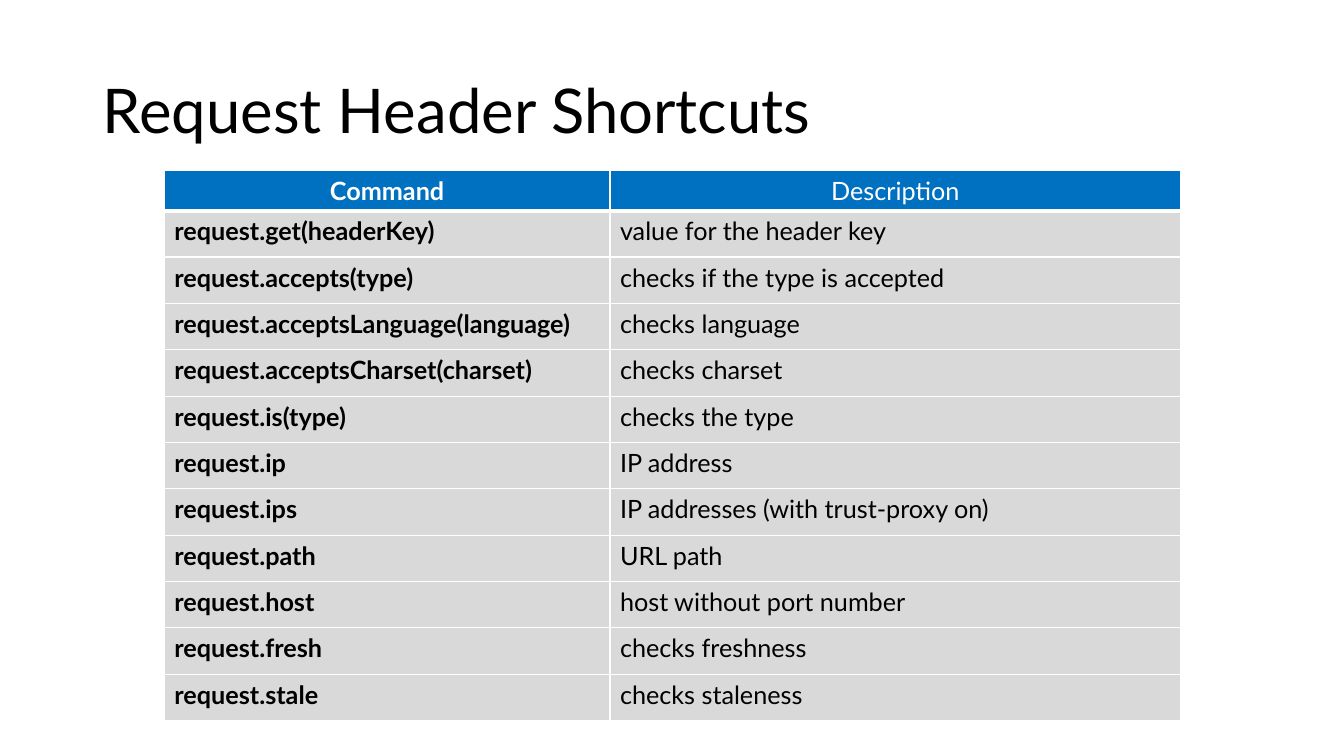
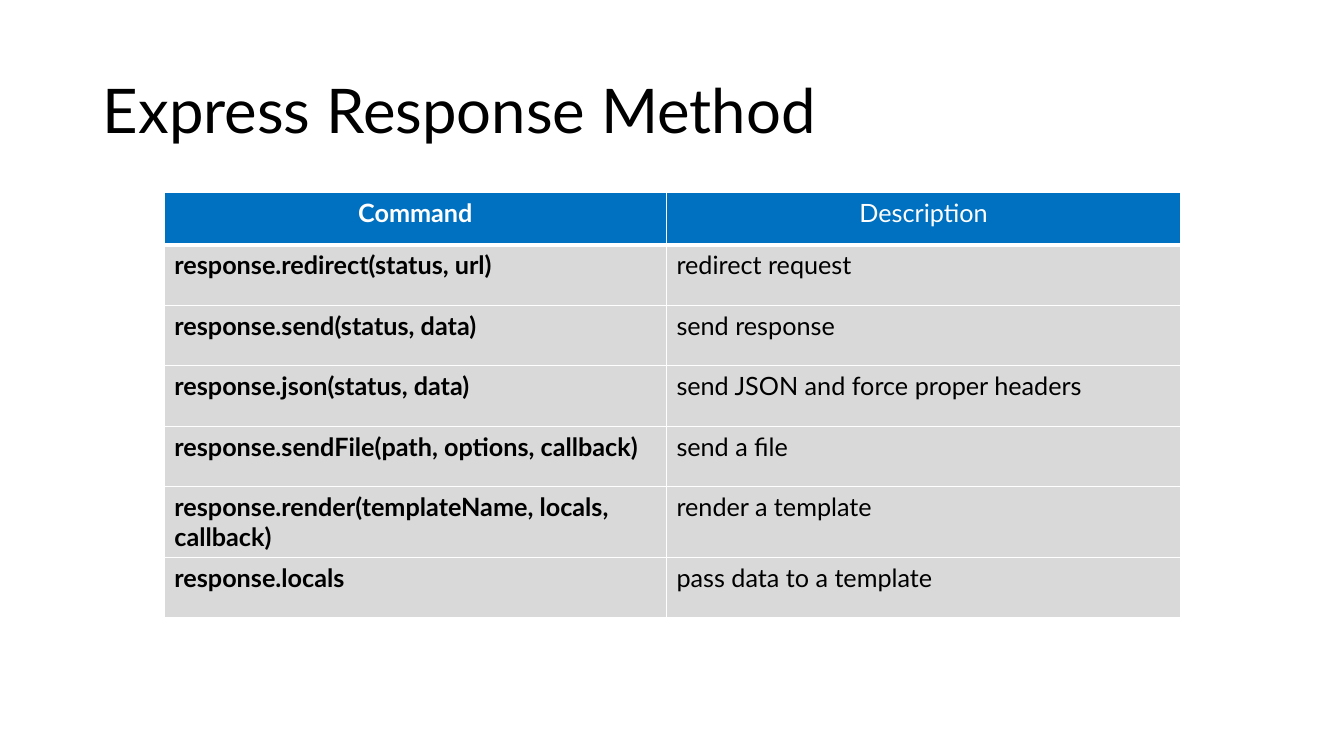
from dataclasses import dataclass

from lxml import etree
from pptx import Presentation
from pptx.dml.color import RGBColor
from pptx.enum import text
from pptx.oxml import ns
from pptx.util import Inches, Pt

FONT = "Lato"
COLORS = {"header": "0070C0", "body": "D9D9D9", "light": "FFFFFF", "dark": "000000"}
TABLE_LEFT = 1.63
HEADINGS = ("Command", "Description")
TITLE_ONLY = 5


@dataclass(frozen=True)
class CommandSlide:
    title: str
    top: float
    col_widths: tuple[float, float]
    header_height: float
    row_height: float
    commands: tuple[tuple[str, str], ...]


SLIDES = (
    CommandSlide("Request Header Shortcuts", 1.69, (4.42, 5.66), 0.39, 0.46, (
        ("request.get(headerKey)", "value for the header key"),
        ("request.accepts(type)", "checks if the type is accepted"),
        ("request.acceptsLanguage(language)", "checks language"),
        ("request.acceptsCharset(charset)", "checks charset"),
        ("request.is(type)", "checks the type"),
        ("request.ip", "IP address"),
        ("request.ips", "IP addresses (with trust-proxy on)"),
        ("request.path", "URL path"),
        ("request.host", "host without port number"),
        ("request.fresh", "checks freshness"),
        ("request.stale", "checks staleness"),
    )),
    CommandSlide("Express Response Method", 1.91, (4.98, 5.1), 0.52, 0.6, (
        ("response.redirect(status, url)", "redirect request"),
        ("response.send(status, data)", "send response"),
        ("response.json(status, data)", "send JSON and force proper headers"),
        ("response.sendFile(path, options, callback)", "send a file"),
        ("response.render(templateName, locals, callback)", "render a template"),
        ("response.locals", "pass data to a template"),
    )),
)


def add_run(p, words: str, size: float, color: str, bold: bool = False) -> None:
    r = p.add_run()
    r.text = words
    r.font.name = FONT
    r.font.size = Pt(size)
    r.font.bold = bold
    r.font.color.rgb = RGBColor.from_string(COLORS[color])


def set_borders(cell, top: float, bottom: float) -> None:
    """Draw light borders; the side ones are always 1 point wide."""
    tc_pr = cell._tc.get_or_add_tcPr()
    widths = {"a:lnL": 1, "a:lnR": 1, "a:lnT": top, "a:lnB": bottom}
    for i, (tag, width) in enumerate(widths.items()):
        ln = etree.Element(ns.qn(tag), w=str(Pt(width)))
        fill = etree.SubElement(ln, ns.qn("a:solidFill"))
        etree.SubElement(fill, ns.qn("a:srgbClr"), val=COLORS["light"])
        tc_pr.insert(i, ln)


def add_title(s, title: str) -> None:
    sp = s.shapes.title
    sp.left, sp.top = Inches(0.92), Inches(0.4)
    sp.width, sp.height = Inches(11.5), Inches(1.45)
    tf = sp.text_frame
    tf.word_wrap = True
    tf.auto_size = text.MSO_AUTO_SIZE.NONE
    tf.vertical_anchor = text.MSO_ANCHOR.MIDDLE
    p = tf.paragraphs[0]
    p.alignment = text.PP_ALIGN.LEFT
    p.line_spacing = 0.9
    add_run(p, title, 44, "dark")


def add_command_table(s, spec: CommandSlide) -> None:
    rows = (HEADINGS, *spec.commands)
    heights = [spec.header_height] + [spec.row_height] * len(spec.commands)
    table = s.shapes.add_table(
        len(rows), len(HEADINGS), Inches(TABLE_LEFT), Inches(spec.top),
        Inches(sum(spec.col_widths)), Inches(sum(heights))).table
    for column, width in zip(table.columns, spec.col_widths):
        column.width = Inches(width)
    for i, (words, height) in enumerate(zip(rows, heights)):
        table.rows[i].height = Inches(height)
        header = i == 0
        for j, word in enumerate(words):
            cell = table.cell(i, j)
            cell.fill.solid()
            cell.fill.fore_color.rgb = RGBColor.from_string(
                COLORS["header" if header else "body"])
            set_borders(cell, top=3 if i == 1 else 1, bottom=3 if header else 1)
            p = cell.text_frame.paragraphs[0]
            p.alignment = text.PP_ALIGN.CENTER if header else text.PP_ALIGN.LEFT
            add_run(p, word, 18, "light" if header else "dark", bold=j == 0)


def main() -> None:
    prs = Presentation()
    prs.slide_width, prs.slide_height = Inches(13.33), Inches(7.5)
    for spec in SLIDES:
        s = prs.slides.add_slide(prs.slide_layouts[TITLE_ONLY])
        add_title(s, spec.title)
        add_command_table(s, spec)
    prs.save("out.pptx")


if __name__ == "__main__":
    main()
